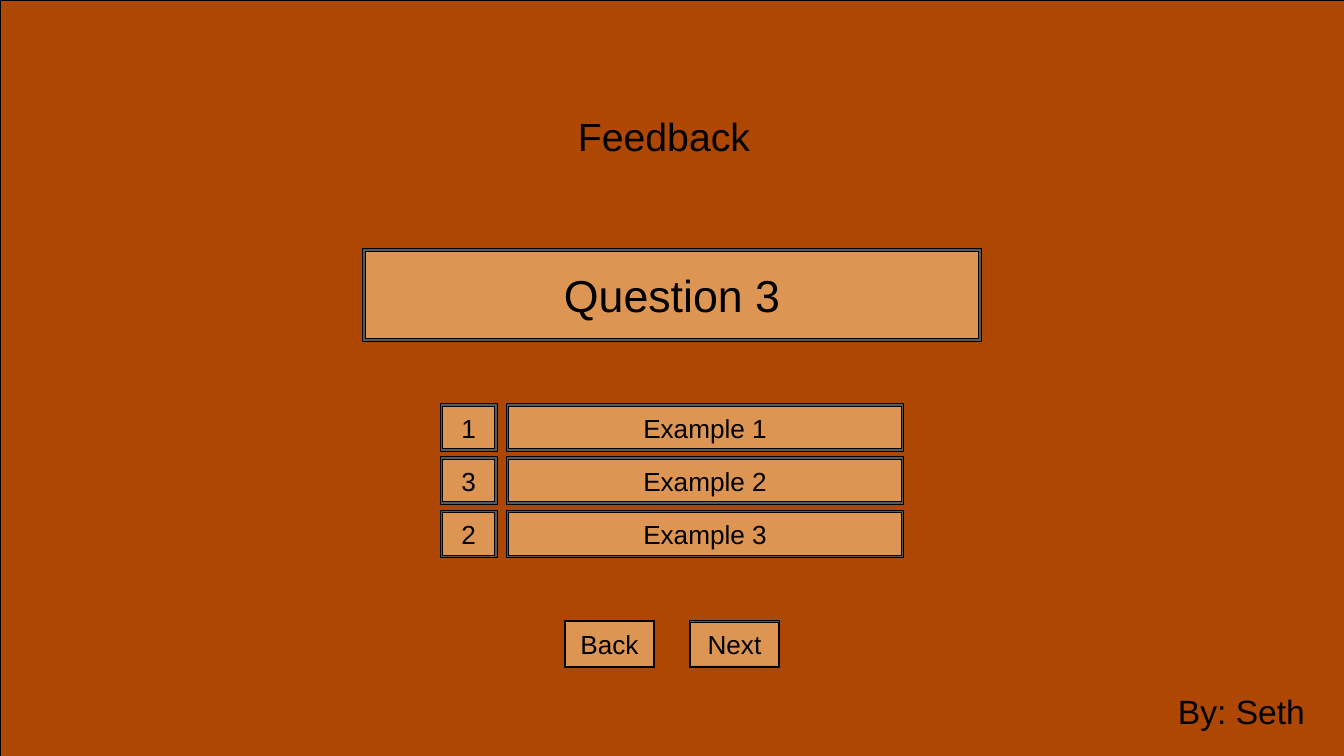
from dataclasses import dataclass

from pptx import Presentation
from pptx.dml.color import RGBColor
from pptx.enum.shapes import MSO_SHAPE
from pptx.enum.text import MSO_ANCHOR as Anchor, MSO_AUTO_SIZE as AutoSize, PP_ALIGN as Align
from pptx.util import Emu, Pt

PX = 9144  # EMU per px, 100 px to the inch
FONT = "Arial"
BLACK = RGBColor(0x00, 0x00, 0x00)
GREY = RGBColor(0x59, 0x59, 0x59)
RUST = RGBColor(0xAE, 0x47, 0x04)
TAN = RGBColor(0xDC, 0x95, 0x53)


@dataclass(frozen=True)
class Box:
    left: int
    top: int
    width: int
    height: int

    def grown(self, dx: int, dy: int) -> "Box":
        return Box(self.left - dx, self.top - dy, self.width + 2 * dx, self.height + 2 * dy)

    def emu(self) -> list[Emu]:
        return [Emu(n * PX) for n in (self.left, self.top, self.width, self.height)]

    def corners(self) -> list[tuple[int, int]]:
        right, bottom = self.left + self.width, self.top + self.height
        return [(self.left, self.top), (right, self.top),
                (right, bottom), (self.left, bottom)]


@dataclass(frozen=True)
class TextStyle:
    size: float
    spacing: float
    inset: int = 6
    align: Align = Align.CENTER
    anchor: Anchor = Anchor.MIDDLE
    auto_size: AutoSize = AutoSize.NONE


@dataclass(frozen=True)
class Panel:
    box: Box
    border: int
    text: str = ""
    style: TextStyle | None = None
    fill: RGBColor = TAN


@dataclass(frozen=True)
class Label:
    box: Box
    text: str
    style: TextStyle


def set_all(target, values: dict) -> None:
    for name, value in values.items():
        setattr(target, name, value)


def paint(shape, fill: RGBColor) -> None:
    shape.shadow.inherit = False
    shape.fill.solid()
    shape.fill.fore_color.rgb = fill
    shape.line.color.rgb = BLACK
    shape.line.width = Pt(1)


def add_text(shapes, box: Box, text: str, style: TextStyle) -> None:
    frame = shapes.add_textbox(*box.emu()).text_frame
    inset = Emu(style.inset * PX)
    set_all(frame, {
        "word_wrap": True, "auto_size": style.auto_size, "vertical_anchor": style.anchor,
        "margin_left": inset, "margin_top": inset,
        "margin_right": inset, "margin_bottom": inset,
    })
    line = frame.paragraphs[0]
    set_all(line, {"text": text, "alignment": style.align, "line_spacing": Pt(style.spacing)})
    font = line.runs[0].font
    set_all(font, {"name": FONT, "size": Pt(style.size)})
    font.color.rgb = BLACK


def add_border(shapes, box: Box, border: int) -> None:
    """Draw a hollow frame that straddles the edge of the box."""
    outer = box.grown(border, border).corners()
    inner = box.grown(-border, -border).corners()
    builder = shapes.build_freeform(*outer[0], scale=PX)
    builder.add_line_segments(outer[1:], close=True)
    builder.move_to(*inner[0])
    builder.add_line_segments(inner[:0:-1], close=True)
    paint(builder.convert_to_shape(), GREY)


def add_panel(slide, panel: Panel) -> None:
    shapes = slide.shapes.add_group_shape().shapes
    paint(shapes.add_shape(MSO_SHAPE.RECTANGLE, *panel.box.emu()), panel.fill)
    add_border(shapes, panel.box, panel.border)
    if panel.style:
        text_box = panel.box.grown(panel.border, panel.border + 1)
        add_text(shapes, text_box, panel.text, panel.style)


QUESTION = TextStyle(47.9, 57.5)
ANSWER = TextStyle(28, 33.6)
PLAIN = {"inset": 0, "align": Align.LEFT, "anchor": Anchor.TOP,
         "auto_size": AutoSize.SHAPE_TO_FIT_TEXT}
HEADING = TextStyle(42, 50.4, **PLAIN)
BYLINE = TextStyle(36, 43.2, **PLAIN)

ROW_TOP, ROW_STEP, ROW_HEIGHT = 603, 79, 67
ANSWERS = [("1", "Example 1"), ("3", "Example 2"), ("2", "Example 3")]
COLUMNS = [(657, 81), (755, 588)]  # left, width

PANELS = [
    Panel(Box(0, 0, 2010, 1133), 1, fill=RUST),
    Panel(Box(542, 372, 916, 134), 2, "Question 3", QUESTION),
    *(Panel(Box(left, ROW_TOP + row * ROW_STEP, width, ROW_HEIGHT), 2, text, ANSWER)
      for row, answer in enumerate(ANSWERS)
      for (left, width), text in zip(COLUMNS, answer)),
    Panel(Box(841, 924, 132, 69), 1, "Back", ANSWER),
    Panel(Box(1027, 925, 132, 67), 1, "Next", ANSWER),
]
LABELS = [
    Label(Box(860, 167, 279, 97), "Feedback", HEADING),
    Label(Box(1753, 1028, 210, 71), "By: Seth", BYLINE),
]


def main() -> None:
    deck = Presentation()
    set_all(deck, {"slide_width": Emu(2000 * PX), "slide_height": Emu(1125 * PX)})
    slide = deck.slides.add_slide(deck.slide_layouts[6])
    for panel in PANELS:
        add_panel(slide, panel)
    for label in LABELS:
        add_text(slide.shapes, label.box, label.text, label.style)
    deck.save("out.pptx")


if __name__ == "__main__":
    main()
